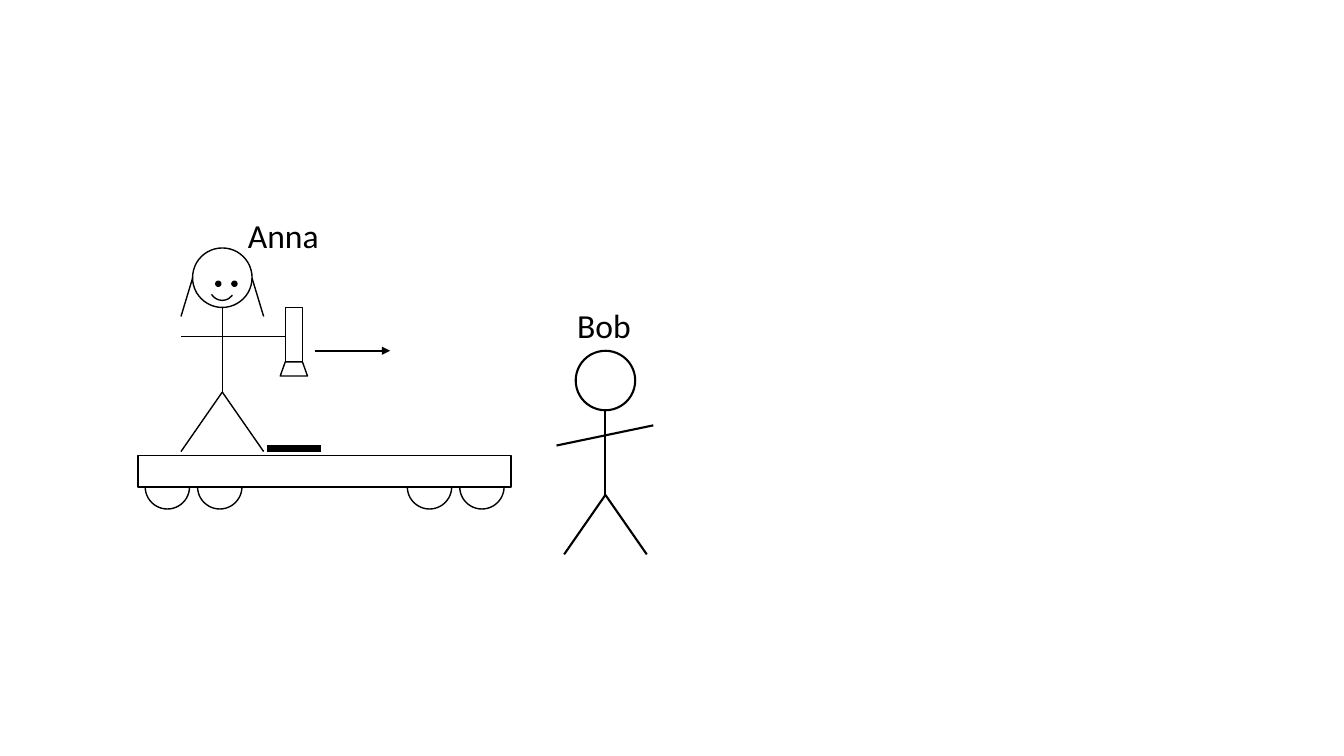
from dataclasses import dataclass

from lxml.etree import SubElement
from pptx import Presentation
from pptx.dml.color import RGBColor
from pptx.enum.shapes import MSO_CONNECTOR, MSO_SHAPE
from pptx.enum.text import MSO_AUTO_SIZE, PP_ALIGN
from pptx.oxml.ns import qn
from pptx.util import Inches, Pt


@dataclass(frozen=True)
class Theme:
    ink: RGBColor = RGBColor(0, 0, 0)
    paper: RGBColor = RGBColor(255, 255, 255)
    font: str = "Calibri"
    label_size: float = 24
    thin: float = 1
    medium: float = 1.5
    thick: float = 4.5


THEME = Theme()
HEAD = 0.59  # head diameter, shared by both people


def draw_line(shapes, start, end, weight=THEME.thin, arrow=False):
    line = shapes.add_connector(MSO_CONNECTOR.STRAIGHT, *map(Inches, start + end))
    line.line.color.rgb = THEME.ink
    line.line.width = Pt(weight)
    SubElement(line._element.spPr, qn("a:effectLst"))
    if arrow:
        SubElement(line.line._get_or_add_ln(), qn("a:tailEnd"), type="triangle")


def draw_shape(shapes, kind, box, fill=None, weight=THEME.thin):
    shape = shapes.add_shape(kind, *map(Inches, box))
    shape.shadow.inherit = False
    if fill is None:
        shape.fill.background()
    else:
        shape.fill.solid()
        shape.fill.fore_color.rgb = fill
    shape.line.color.rgb = THEME.ink
    shape.line.width = Pt(weight)
    return shape


def draw_label(slide, text, left, top):
    label = slide.shapes.add_textbox(*map(Inches, (left, top, 0.98, 0.5)))
    frame = label.text_frame
    frame.word_wrap = True
    frame.auto_size = MSO_AUTO_SIZE.SHAPE_TO_FIT_TEXT
    paragraph = frame.paragraphs[0]
    paragraph.text = text
    paragraph.alignment = PP_ALIGN.CENTER
    paragraph.font.name = THEME.font
    paragraph.font.size = Pt(THEME.label_size)
    paragraph.font.color.rgb = THEME.ink


def draw_person(slide, left, top, weight):
    """Head, torso and legs; returns the group's shapes for further parts."""
    person = slide.shapes.add_group_shape().shapes
    draw_shape(person, MSO_SHAPE.OVAL, (left, top, HEAD, HEAD), weight=weight)
    middle, hip = left + HEAD / 2, top + 1.43
    draw_line(person, (middle, top + HEAD), (middle, hip), weight)
    for side in (-1, 1):
        draw_line(person, (middle, hip), (middle + side * 0.41, hip + 0.59), weight)
    return person


def draw_anna(slide, left, top):
    # Arms reach behind the lamp
    draw_line(slide.shapes, (left - 0.11, top + 0.88), (left + 1.01, top + 0.88))

    # Lamp, and the plate on the wagon beneath it
    lamp = slide.shapes.add_group_shape().shapes
    draw_shape(lamp, MSO_SHAPE.RECTANGLE, (left + 0.92, top + 0.59, 0.17, 0.56), THEME.paper)
    shade = draw_shape(lamp, MSO_SHAPE.TRAPEZOID, (left + 0.87, top + 1.13, 0.27, 0.14), THEME.paper)
    shade.adjustments[0] = 0.355
    draw_line(slide.shapes, (left + 0.74, top + 1.99), (left + 1.27, top + 1.99), THEME.thick)

    # Body, hair and face
    person = draw_person(slide, left, top, THEME.thin)
    middle = left + HEAD / 2
    for side in (-1, 1):
        draw_line(person, (middle + side * HEAD / 2, top + 0.3), (middle + side * 0.41, top + 0.68))
    for eye in (0.23, 0.39):
        draw_shape(person, MSO_SHAPE.OVAL, (left + eye, top + 0.33, 0.05, 0.05), THEME.ink)
    smile = draw_shape(person, MSO_SHAPE.ARC, (left + 0.17, top + 0.27, 0.25, 0.25))
    smile.adjustments[0], smile.adjustments[1] = 21.747, 89.295


def draw_wagon(slide, left, top, width, height):
    wagon = slide.shapes.add_group_shape().shapes
    wheel, margin, pitch = 0.44, 0.07, 0.52
    last = width - margin - wheel
    for offset in (margin, margin + pitch, last - pitch, last):
        draw_shape(wagon, MSO_SHAPE.OVAL, (left + offset, top + 0.09, wheel, wheel), THEME.paper)
    draw_shape(wagon, MSO_SHAPE.RECTANGLE, (left, top, width, height), THEME.paper)


def draw_bob(slide, left, top):
    person = draw_person(slide, left, top, THEME.medium)
    draw_line(person, (left - 0.19, top + 0.94), (left + 0.77, top + 0.74), THEME.medium)


def main():
    prs = Presentation()
    prs.slide_width, prs.slide_height = Inches(13.33), Inches(7.5)
    slide = prs.slides.add_slide(prs.slide_layouts[6])

    draw_anna(slide, 1.91, 2.46)
    draw_wagon(slide, 1.37, 4.52, 3.7, 0.31)
    draw_bob(slide, 5.71, 3.48)

    # Direction of motion
    draw_line(slide.shapes, (3.12, 3.48), (3.87, 3.48), THEME.medium, arrow=True)

    draw_label(slide, "Anna", 2.32, 2.08)
    draw_label(slide, "Bob", 5.5, 2.98)
    prs.save("out.pptx")


if __name__ == "__main__":
    main()
